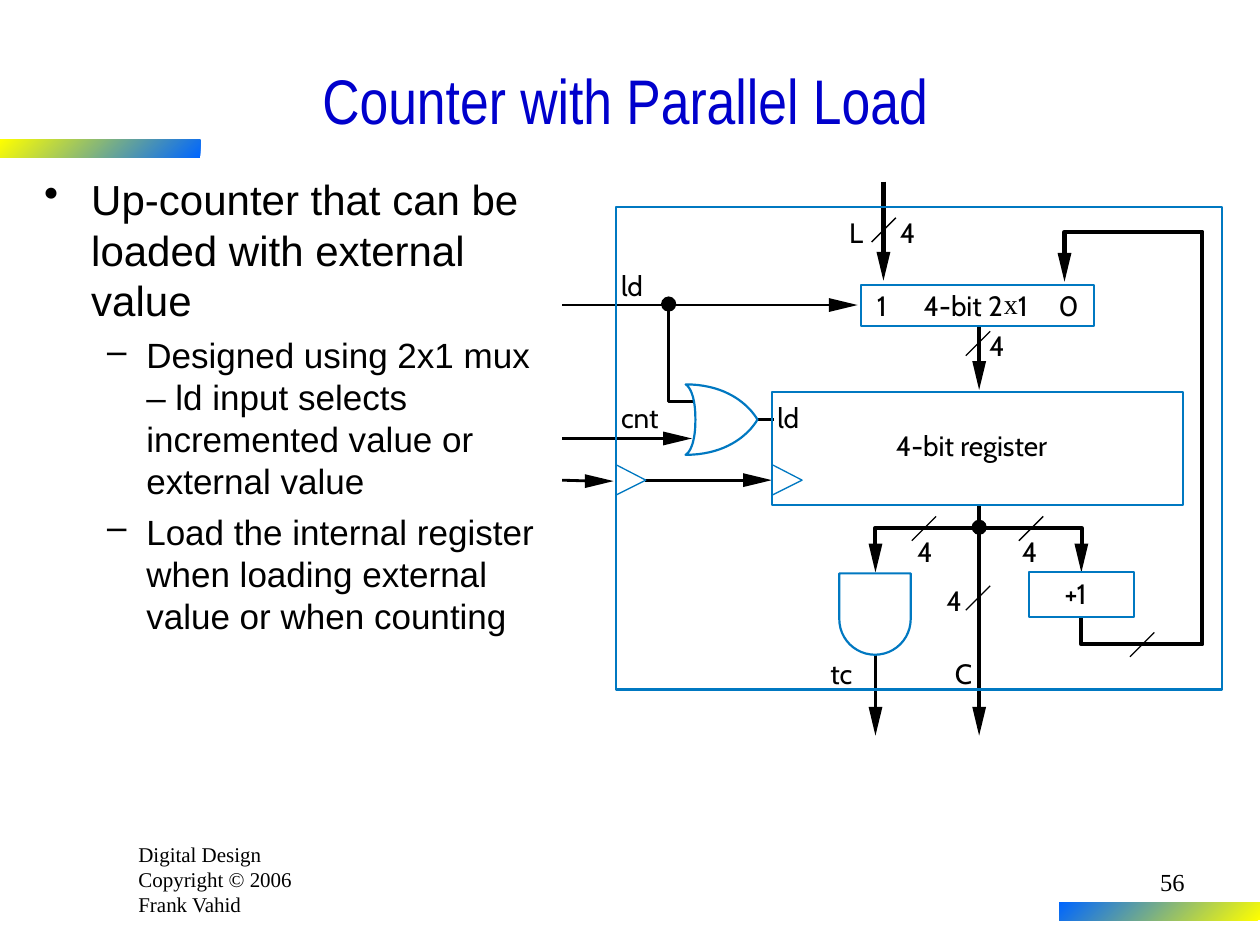
from math import cos, pi, sin

from lxml import etree
from pptx import Presentation
from pptx.dml.color import RGBColor
from pptx.enum.shapes import MSO_CONNECTOR, MSO_SHAPE
from pptx.enum.text import MSO_ANCHOR, MSO_AUTO_SIZE, PP_ALIGN
from pptx.oxml.ns import qn
from pptx.util import Cm, Pt

BLACK = RGBColor(0, 0, 0)
WHITE = RGBColor(0xFF, 0xFF, 0xFF)
NAVY = RGBColor(0, 0, 0xCC)
BLUE = RGBColor(0, 0x78, 0xC1)
SKY = RGBColor(0, 0x66, 0xFF)
YELLOW = RGBColor(0xFF, 0xFF, 0)
RECT, OVAL = MSO_SHAPE.RECTANGLE, MSO_SHAPE.OVAL
STRAIGHT = MSO_CONNECTOR.STRAIGHT
LEFT, CENTER, RIGHT = PP_ALIGN.LEFT, PP_ALIGN.CENTER, PP_ALIGN.RIGHT
MIDDLE = MSO_ANCHOR.MIDDLE
GROW = MSO_AUTO_SIZE.SHAPE_TO_FIT_TEXT

deck = Presentation()
deck.slide_width, deck.slide_height = Cm(25.4), Cm(19.05)
slide = deck.slides.add_slide(deck.slide_layouts[6])
shapes = slide.shapes


def write(lines, box, size, font, color=BLACK, align=LEFT):
    """Add a text box with one paragraph for each line; return its frame."""
    frame = shapes.add_textbox(*map(Cm, box)).text_frame
    frame.word_wrap = True
    frame.text = "\n".join(lines)
    for para in frame.paragraphs:
        para.alignment = align
        para.font.size, para.font.name = Pt(size), font
        para.font.color.rgb = color
    return frame


def trace(points, color=None, width=1, fill=None, close=False):
    """Draw a path through points given in centimetres."""
    spots = [(Cm(x), Cm(y)) for x, y in points]
    path = shapes.build_freeform(*spots[0])
    path.add_line_segments(spots[1:], close=close)
    shape = path.convert_to_shape()
    shape.shadow.inherit = False
    if fill is None:
        shape.fill.background()
    else:
        shape.fill.solid()
        shape.fill.fore_color.rgb = fill
    if color is None:
        shape.line.fill.background()
    else:
        shape.line.color.rgb, shape.line.width = color, Pt(width)


# Footer, colour bars and title
write(["Digital Design", "Copyright © 2006", "Frank Vahid"],
      (2.54, 16.84, 4.24, 1.78), 12, "Times New Roman")

for x, y, tints in [(0, 2.82, (SKY, YELLOW)), (21.36, 18.19, (YELLOW, SKY))]:
    bar = shapes.add_shape(RECT, Cm(x), Cm(y), Cm(4.04), Cm(0.36))
    bar.shadow.inherit = False
    bar.line.fill.background()
    bar.fill.gradient()
    bar.fill.gradient_angle = 135
    for stop, tint in zip(bar.fill.gradient_stops, tints):
        stop.color.rgb = tint

title = write(["Counter with Parallel Load"], (0.64, 0.84, 23.93, 2.34),
              36, "Arial Narrow", NAVY, CENTER)
title.vertical_anchor = MIDDLE

# Bullet list: level, size, left margin, hang, space before, mark, text
items = [
    (0, 24, 0.95, 0.95, 0, "•",
     "Up-counter that can be loaded with external value"),
    (1, 20, 2.06, 0.79, 5, "–",
     "Designed using 2x1 mux – ld input selects incremented value "
     "or external value"),
    (1, 20, 2.06, 0.79, 5, "–",
     "Load the internal register when loading external value "
     "or when counting"),
]
body = shapes.add_textbox(Cm(0.64), Cm(3.38), Cm(10.74), Cm(13.54)).text_frame
body.word_wrap = True
body.text = "\n".join(item[-1] for item in items)
for para, (level, size, left, hang, gap, mark, _) in zip(body.paragraphs, items):
    para.level = level
    props = para._p.get_or_add_pPr()
    props.set("marL", str(Cm(left)))
    props.set("indent", str(-Cm(hang)))
    tint = etree.SubElement(props, qn("a:buClr"))
    etree.SubElement(tint, qn("a:srgbClr"), val=str(BLACK))
    etree.SubElement(props, qn("a:buChar"), char=mark)
    para.space_before = Pt(gap)
    para.font.size, para.font.name = Pt(size), "Arial"
    para.font.color.rgb = BLACK

# Wires: start, end, width; bus slashes follow the same way
wires = [
    (19.74, 10.19, 19.74, 14.45, 2.38),
    (19.74, 6.58, 19.74, 7.49, 2.38),
    (17.81, 3.66, 17.81, 5.31, 2.38),
    (13, 9.68, 15.19, 9.68, 1.62),
    (11.33, 9.68, 11.99, 9.7, 1.62),
    (17.65, 13.18, 17.65, 14.3, 1.62),
    (11.33, 8.84, 13.59, 8.84, 1.62),
    (15.24, 8.46, 15.6, 8.46, 1.62),
    (11.33, 6.15, 16.92, 6.15, 1.62),
]
slashes = [(19.96, 11.81), (23.27, 12.75), (18.87, 10.41),
           (21.03, 10.41), (18.06, 4.39), (19.96, 6.68)]
wires += [(x, y, x - 0.49, y + 0.49, 0.75) for x, y in slashes]
for *ends, width in wires:
    wire = shapes.add_connector(STRAIGHT, *map(Cm, ends))
    wire.line.color.rgb, wire.line.width = BLACK, Pt(width)
    etree.SubElement(wire._element.spPr, qn("a:effectLst"))

trace([(21.8, 12.45), (21.8, 12.99), (24.24, 12.99), (24.24, 4.67),
       (21.46, 4.67), (21.46, 5.31)], BLACK, 2.38)
trace([(13.99, 8.1), (13.47, 8.1), (13.47, 6.15)], BLACK, 1.62)
trace([(17.64, 11.07), (17.64, 10.65), (21.81, 10.65), (21.81, 11.07)],
      BLACK, 2.25)

# Arrowheads, by tip
for x, y in [(19.74, 14.83), (21.46, 5.68), (21.8, 11.54), (17.65, 11.54),
             (17.65, 14.83), (19.74, 7.86), (17.81, 5.66)]:
    trace([(x, y), (x + 0.14, y - 0.58), (x - 0.14, y - 0.58)],
          fill=BLACK, close=True)
for x, y in [(15.56, 9.68), (12.37, 9.7), (13.95, 8.84), (17.29, 6.15)]:
    trace([(x, y), (x - 0.58, y - 0.14), (x - 0.58, y + 0.14)],
          fill=BLACK, close=True)

# Junction dots
for x, y in [(19.6, 10.49), (13.34, 5.99)]:
    dot = shapes.add_shape(OVAL, Cm(x), Cm(y), Cm(0.28), Cm(0.28))
    dot.shadow.inherit = False
    dot.fill.solid()
    dot.fill.fore_color.rgb = dot.line.color.rgb = BLACK
    dot.line.width = Pt(0.75)

# Blocks: counter, register, incrementer, mux
for box in [(12.42, 4.17, 12.22, 9.73), (15.57, 7.9, 8.28, 2.29),
            (20.75, 11.53, 2.11, 0.91), (17.35, 5.74, 4.7, 0.84)]:
    block = shapes.add_shape(RECT, *map(Cm, box))
    block.shadow.inherit = False
    block.fill.background()
    block.line.color.rgb, block.line.width = BLUE, Pt(1.25)

# Clock marks
for x in (12.42, 15.57):
    trace([(x, 9.98), (x + 0.6, 9.68), (x, 9.37)], BLUE, 0.75)

# AND gate
steps = 24
bowl = [(17.64 + 0.72 * cos(pi * i / steps), 12.48 + 0.72 * sin(pi * i / steps))
        for i in range(steps + 1)]
trace([(16.92, 11.56), (18.36, 11.56)] + bowl, BLUE, 1.25, close=True)

# OR gate: lower half from nose to heel to back, then its mirror
mid = 8.46
half = []
for start, pull, end in [((15.27, 0), (14.91, 0.71), (13.82, 0.71)),
                         ((13.82, 0.71), (14.02, 0.63), (14.02, 0))]:
    for i in range(steps + 1):
        t = i / steps
        half.append([(1 - t) ** 2 * (1 + 2 * t) * a + 3 * (1 - t) * t ** 2 * b
                     + t ** 3 * c for a, b, c in zip(start, pull, end)])
trace([(x, mid + d) for x, d in half] + [(x, mid - d) for x, d in half[::-1]],
      BLUE, 1.25, WHITE, True)

# Labels: text, left, top, width
labels = [
    ("ld", 15.67, 8.08, 0.48), ("4-bit register", 18.06, 8.64, 3.4),
    ("C", 19.25, 13.23, 0.36), ("tc", 16.74, 13.23, 0.48),
    ("cnt", 12.52, 8.08, 0.81), ("ld", 12.52, 5.41, 0.48),
    ("+1", 21.46, 11.63, 0.64), ("L", 17.12, 4.34, 0.3),
    ("1", 17.68, 5.82, 0.33), ("4-bit 2", 18.62, 5.82, 1.68),
    ("x", 20.24, 5.77, 0.28), ("1", 20.52, 5.82, 0.33),
    ("0", 21.34, 5.82, 0.33),
]
labels += [("4", x, y, 0.33) for x, y in [
    (19.08, 11.76), (18.49, 10.77), (20.6, 10.77), (18.14, 4.34), (19.94, 6.63)]]
for text, x, y, width in labels:
    font = "Times New Roman" if text == "x" else "Cabin"
    label = write([text], (x, y, width, 0.69), 16, font)
    label.margin_left = label.margin_right = 0
    label.margin_top = label.margin_bottom = 0
    label.word_wrap = False
    label.auto_size = GROW

write(["56"], (18.85, 17.35, 5.28, 1.27), 14, "Times New Roman", align=RIGHT)

deck.save("out.pptx")
